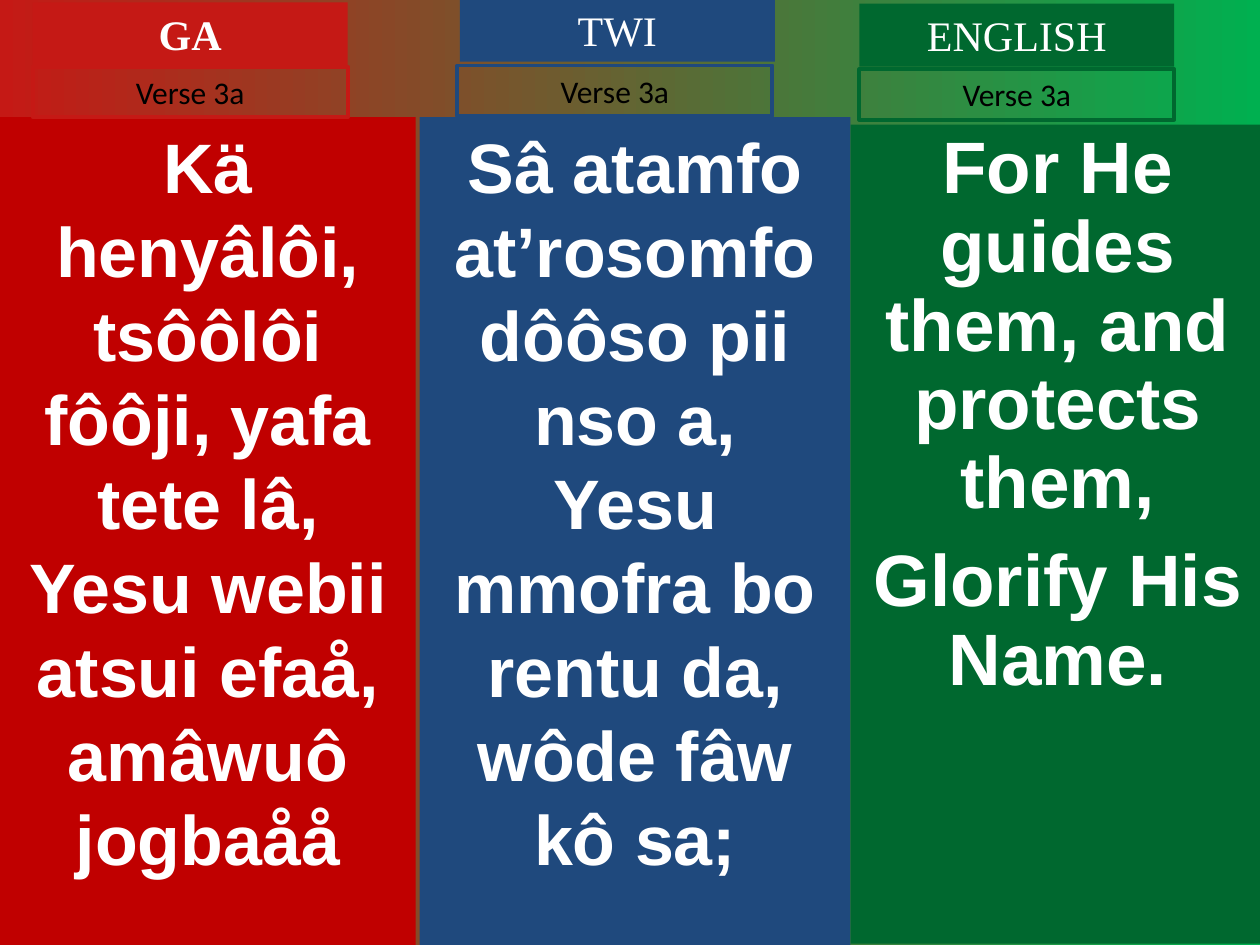
from dataclasses import dataclass
from typing import Optional

from pptx import Presentation
from pptx.dml.color import RGBColor
from pptx.enum.text import MSO_ANCHOR, MSO_AUTO_SIZE, PP_ALIGN
from pptx.util import Inches, Pt

WIDTH, HEIGHT = 10, 7.5
TAG_W, TITLE_H, VERSE_H = WIDTH / 4, HEIGHT / 15, 0.4
WHITE = RGBColor(0xFF, 0xFF, 0xFF)
BLACK = RGBColor(0, 0, 0)
SCARLET = RGBColor(0xC5, 0x19, 0x15)
RED = RGBColor(0xC0, 0, 0)
BLUE = RGBColor(0x1F, 0x49, 0x7D)
GREEN = RGBColor(0, 0x68, 0x2F)
BRIGHT_GREEN = RGBColor(0, 0xB0, 0x50)


@dataclass(frozen=True)
class Style:
    font: str
    size: float
    color: RGBColor
    bold: bool = False
    spacing: Optional[float] = None
    gap: float = 0


@dataclass(frozen=True)
class Language:
    name: str
    tag_color: RGBColor
    panel_color: RGBColor
    panel: tuple[float, float, float, float]
    title_at: tuple[float, float]
    verse_at: tuple[float, float]
    title: Style
    body: Style
    lines: tuple[str, ...]


TITLE = Style("Times New Roman", 24, WHITE)
BOLD_TITLE = Style("Times New Roman", 24, WHITE, bold=True)
VERSE = Style("Calibri", 18, BLACK)
LYRICS = Style("Arial", 40, WHITE, bold=True)
ENGLISH_LYRICS = Style("Arial", 41.6, WHITE, bold=True, spacing=0.9, gap=11.2)

LANGUAGES = (
    Language("GA", SCARLET, RED, (0, 0.93, 3.3, 6.57), (0.26, 0.02), (0.26, 0.53),
             BOLD_TITLE, LYRICS,
             ("Kä henyâlôi, tsôôlôi fôôji, yafa tete lâ,",
              "Yesu webii atsui efaå,",
              "amâwuô jogbaåå")),
    Language("TWI", BLUE, BLUE, (3.33, 0.93, 3.42, 6.57), (3.65, -0.01), (3.63, 0.52),
             TITLE, LYRICS,
             ("Sâ atamfo at’rosomfo",
              "dôôso pii nso a,",
              "Yesu mmofra bo rentu da,",
              "wôde fâw kô sa;")),
    Language("ENGLISH", GREEN, GREEN, (6.75, 0.99, 3.29, 6.5), (6.82, 0.03), (6.82, 0.55),
             TITLE, ENGLISH_LYRICS,
             ("For He guides them, and protects them,",
              "Glorify His Name.")),
)


def add_box(s, box: tuple[float, ...], lines: tuple[str, ...], style: Style,
            fill: Optional[RGBColor] = None, line: Optional[RGBColor] = None,
            grow: bool = False) -> None:
    """Draw a rectangle of centred paragraphs."""
    sp = s.shapes.add_textbox(*map(Inches, box))
    if fill is not None:
        sp.fill.solid()
        sp.fill.fore_color.rgb = fill
    if line is not None:
        sp.line.color.rgb = line
        sp.line.width = Pt(2.25)
    tf = sp.text_frame
    tf.word_wrap = True
    tf.vertical_anchor = MSO_ANCHOR.TOP
    tf.auto_size = MSO_AUTO_SIZE.SHAPE_TO_FIT_TEXT if grow else MSO_AUTO_SIZE.NONE
    for i, text in enumerate(lines):
        p = tf.add_paragraph() if i else tf.paragraphs[0]
        p.text = text
        p.alignment = PP_ALIGN.CENTER
        if style.spacing:
            p.line_spacing = style.spacing
        if i and style.gap:
            p.space_before = Pt(style.gap)
        p.font.name = style.font
        p.font.size = Pt(style.size)
        p.font.bold = style.bold
        p.font.color.rgb = style.color


def add_language(s, lang: Language) -> None:
    """Draw the lyrics panel with its title and verse tags."""
    add_box(s, lang.panel, lang.lines, lang.body, fill=lang.panel_color)
    add_box(s, (*lang.title_at, TAG_W, TITLE_H), (lang.name,), lang.title,
            fill=lang.tag_color, grow=True)
    add_box(s, (*lang.verse_at, TAG_W, VERSE_H), ("Verse 3a",), VERSE,
            line=lang.tag_color, grow=True)


def main() -> None:
    """Build the three-language hymn slide."""
    prs = Presentation()
    prs.slide_width, prs.slide_height = Inches(WIDTH), Inches(HEIGHT)
    s = prs.slides.add_slide(prs.slide_layouts[6])
    fill = s.background.fill
    fill.gradient()
    fill.gradient_angle = 0
    for stop, color in zip(fill.gradient_stops, (SCARLET, BRIGHT_GREEN)):
        stop.color.rgb = color
    for lang in LANGUAGES:
        add_language(s, lang)
    prs.save("out.pptx")


if __name__ == "__main__":
    main()
